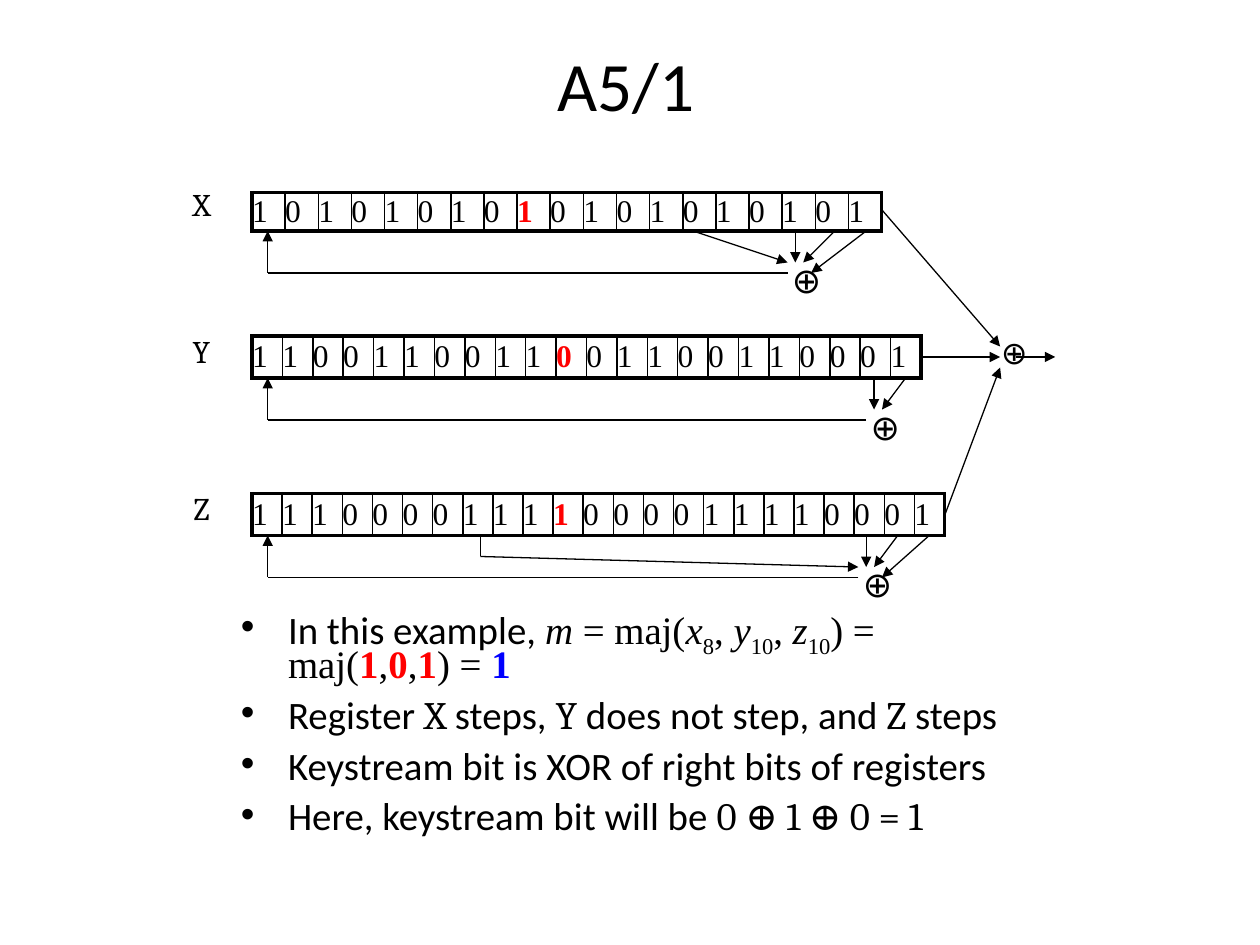
"""Build the A5/1 keystream slide with three shift registers."""
from lxml import etree
from pptx import Presentation
from pptx import util as u
from pptx.dml.color import RGBColor
from pptx.enum import shapes, text
from pptx.oxml import ns

Pt = u.Pt
theme = {
    "ink": RGBColor(0, 0, 0), "red": RGBColor(255, 0, 0), "blue": RGBColor(0, 0, 255),
    "sans": "Calibri", "serif": "Cambria", "math": "Times New Roman",
    "title": 39.6, "body": 22.2, "bit": 18, "sum": 20, "thin": 0.75,
}
styles = {
    "sans": {"name": theme["sans"]},
    "serif": {"name": theme["serif"]},
    "math": {"name": theme["math"]},
    "sub": {"name": theme["math"]},
    "var": {"name": theme["math"], "italic": True},
    "red": {"name": theme["math"], "bold": True, "hue": theme["red"]},
    "blue": {"name": theme["math"], "bold": True, "hue": theme["blue"]},
}


def write(par, size, runs):
    for words, key in runs:
        run = par.add_run()
        run.text = words
        look = {"size": Pt(size), "hue": theme["ink"], **styles[key]}
        run.font.color.rgb = look.pop("hue")
        for name, value in look.items():
            setattr(run.font, name, value)
        if key == "sub":
            run.font._element.set("baseline", "-25000")


def node(root, tag, **marks):
    return etree.SubElement(root, ns.qn(tag), marks)


deck = Presentation()
deck.slide_width, deck.slide_height = Pt(720), Pt(540)
slide = deck.slides.add_slide(deck.slide_layouts[6])

title = slide.shapes.add_textbox(Pt(130.5), Pt(24), Pt(454.5), Pt(48)).text_frame
title.word_wrap = True
title.vertical_anchor = text.MSO_ANCHOR.MIDDLE
title.paragraphs[0].alignment = text.PP_ALIGN.CENTER
write(title.paragraphs[0], theme["title"], [("A5/1", "sans")])

points = [
    [("In this example, ", "sans"), ("m", "var"), (" = maj(", "math"),
     ("x", "var"), ("8", "sub"), (", ", "math"), ("y", "var"), ("10", "sub"),
     (", ", "math"), ("z", "var"), ("10", "sub"), (") = maj(", "math"),
     ("1", "red"), (",", "math"), ("0", "red"), (",", "math"), ("1", "red"),
     (") = ", "math"), ("1 ", "blue")],
    [("Register ", "sans"), ("X", "serif"), (" steps, ", "sans"), ("Y", "serif"),
     (" does not step, and ", "sans"), ("Z", "serif"), (" steps", "sans")],
    [("Keystream bit is XOR of right bits of registers", "sans")],
    [("Here, keystream bit will be ", "sans"), ("0 ⊕ 1 ⊕ 0 = 1", "serif")],
]
body = slide.shapes.add_textbox(Pt(130.5), Pt(348), Pt(459), Pt(138)).text_frame
body.word_wrap = True
for i, runs in enumerate(points):
    par = body.add_paragraph() if i else body.paragraphs[0]
    for name, value in {"line_spacing": 0.7, "space_before": Pt(4.4), "space_after": Pt(6)}.items():
        setattr(par, name, value)
    props = par._p.get_or_add_pPr()
    props.set("marL", str(Pt(27)))
    props.set("indent", str(Pt(-27)))
    node(props, "a:buFont", typeface="Arial")
    node(props, "a:buChar", char="•")
    write(par, theme["body"], runs)

regs = [
    ("1010101010101010101", 8, 110, 22, 360),
    ("1100110011001100110001", 10, 192, 24, 382.5),
    ("11100001111000011110001", 10, 282, 24, 396),
]
for bits, clock, top, high, wide in regs:
    frame = slide.shapes.add_table(1, len(bits), Pt(144), Pt(top), Pt(wide), Pt(high))
    grid = frame.table
    grid.first_row = grid.horz_banding = False
    grid.rows[0].height = Pt(high)
    for i, bit in enumerate(bits):
        grid.columns[i].width = Pt(wide / len(bits))
        cell = grid.cell(0, i)
        for side in ("left", "right", "top", "bottom"):
            setattr(cell, "margin_" + side, 0)
        cell.vertical_anchor = text.MSO_ANCHOR.MIDDLE
        write(cell.text_frame.paragraphs[0], theme["bit"], [(bit, "red" if i == clock else "math")])
        props = cell._tc.get_or_add_tcPr()
        thick = {"L": i == 0, "R": i == len(bits) - 1, "T": True, "B": True}
        for side, bold in thick.items():
            edge = node(props, "a:ln" + side, w=str(Pt(2.25 if bold else 1)))
            node(node(edge, "a:solidFill"), "a:srgbClr", val=str(theme["ink"]))
        cell.fill.background()

labels = [
    ("X", 103, 102, "bit", "serif"), ("Y", 103, 186, "bit", "serif"), ("Z", 103.5, 276, "bit", "serif"),
    ("⊕", 445.5, 144, "sum", "sans"), ("⊕", 490.5, 228, "sum", "sans"),
    ("⊕", 486, 318, "sum", "sans"), ("⊕", 565, 187, "bit", "sans"),
]
for words, left, top, size, key in labels:
    wide, high = (30, 31.5) if size == "sum" else (26.5, 29)
    box = slide.shapes.add_textbox(Pt(left), Pt(top), Pt(wide), Pt(high)).text_frame
    box.word_wrap = False
    box.auto_size = text.MSO_AUTO_SIZE.SHAPE_TO_FIT_TEXT
    write(box.paragraphs[0], theme[size], [(words, key)])

arrows = [
    (396, 132, 450, 150), (274.5, 318, 490.5, 324),
    (504, 120, 571.5, 198), (526.5, 204, 571.5, 204),
    (540, 294, 571.5, 210), (580.5, 204, 603, 204),
]
plain = [(274.5, 306, 274.5, 318)]
loops = [
    (132, 450, [(454.5, 454.5, 18), (477, 459, 18), (495, 463.5, 24)]),
    (216, 495, [(499.5, 499.5, 18), (517.5, 504, 18)]),
    (306, 490.5, [(495, 495, 18), (513, 499.5, 18), (531, 504, 24)]),
]
for base, right, taps in loops:
    plain.append((right, base + 24, 153, base + 24))
    arrows.append((153, base + 24, 153, base))
    arrows += [(start, base, end, base + drop) for start, end, drop in taps]

for ends in plain + arrows:
    line = slide.shapes.add_connector(shapes.MSO_CONNECTOR.STRAIGHT, *map(Pt, ends))
    line.line.color.rgb = theme["ink"]
    line.line.width = Pt(theme["thin"])
    if ends in arrows:
        node(line.line._get_or_add_ln(), "a:tailEnd", type="triangle")
    node(line._element.spPr, "a:effectLst")

deck.save("out.pptx")
